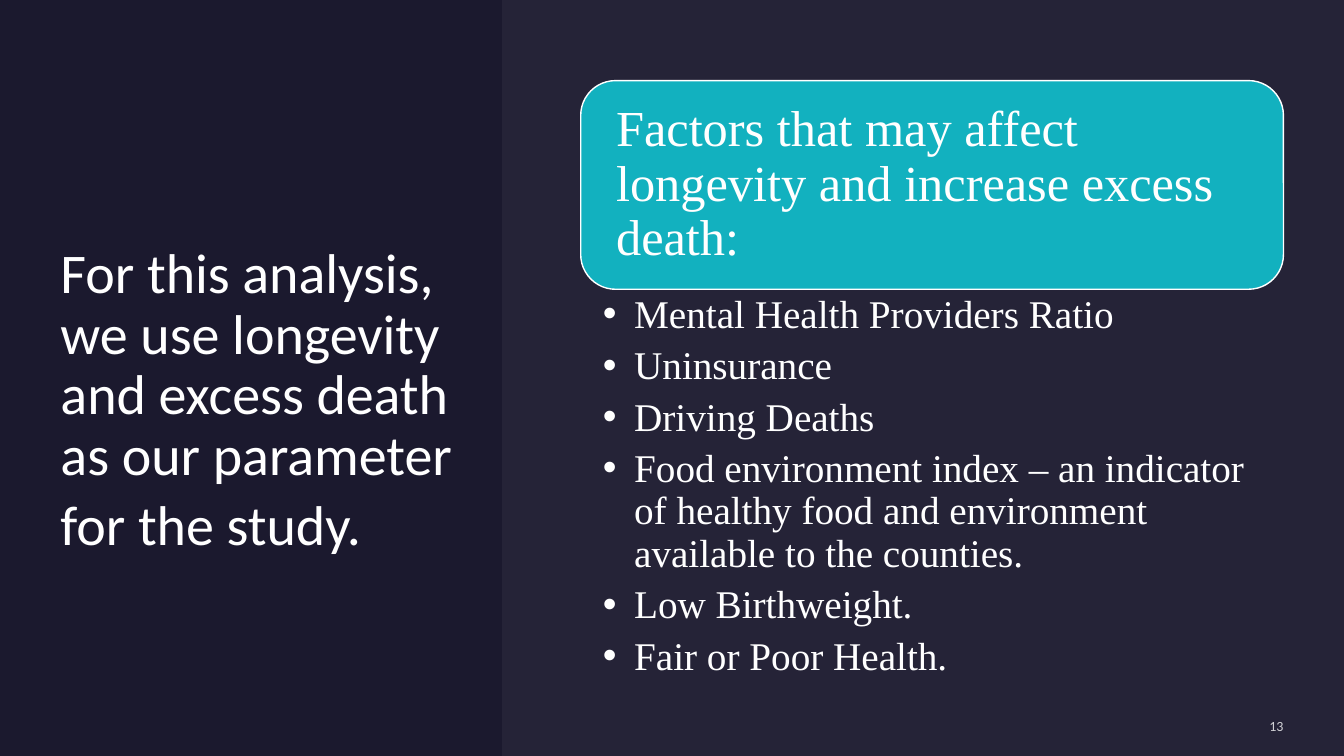
from pptx import Presentation
from pptx.dml.color import RGBColor
from pptx.enum import shapes, text
from pptx.oxml import parse_xml
from pptx.oxml.ns import nsdecls, qn
from pptx.util import Inches, Pt

TITLE = "For this analysis, we use longevity and excess death as our parameter for the study."
HEAD = "Factors that may affect longevity and increase excess death:"
FACTORS = [
    "Mental Health Providers Ratio",
    "Uninsurance",
    "Driving Deaths",
    "Food environment index – an indicator of healthy food and environment available to the counties.",
    "Low Birthweight.",
    "Fair or Poor Health.",
]
PAGE = "13"

THEME = {
    "back": "1B192E", "panel": "E4E3F0", "card": "12B1BF",
    "ink": "FFFFFF", "faint": "D1D1D5",
    "sans": "Calibri", "serif": "Times New Roman",
    "title": 40, "tail": 48, "head": 36, "list": 28, "page": 10,
}
WIDE, HIGH = 13.33, 7.5
SPLIT, LEFT, SPAN = 4.98, 5.76, 6.97
CARD_TOP, CARD_HIGH = 0.8, 2.07


def color(key):
    return RGBColor.from_string(THEME[key])


def place(shape, left, top, width, height):
    shape.left, shape.top = Inches(left), Inches(top)
    shape.width, shape.height = Inches(width), Inches(height)


def alpha(shape, percent):
    tint = shape.fill._xPr.find(qn("a:solidFill"))[0]
    tint.append(parse_xml(f'<a:alpha {nsdecls("a")} val="{percent * 1000}"/>'))


def write(shape, lines, size, font="sans", ink="ink", pads=(0, 0, 0, 0),
          anchor=text.MSO_ANCHOR.MIDDLE, align=text.PP_ALIGN.LEFT,
          line=0.9, after=0, bullet=0):
    frame = shape.text_frame
    frame.word_wrap = True
    frame.auto_size = text.MSO_AUTO_SIZE.NONE
    frame.vertical_anchor = anchor
    (frame.margin_left, frame.margin_top,
     frame.margin_right, frame.margin_bottom) = map(Inches, pads)
    for i, words in enumerate(lines):
        para = frame.paragraphs[0] if i == 0 else frame.add_paragraph()
        para.alignment, para.line_spacing = align, line
        para.space_before, para.space_after = Pt(0), Pt(after)
        if bullet:
            props = para._p.get_or_add_pPr()
            props.set("marL", str(Inches(bullet)))
            props.set("indent", str(-Inches(bullet)))
            props.append(parse_xml(f'<a:buChar {nsdecls("a")} char="•"/>'))
        run = para.add_run()
        run.text = words
        run.font.name, run.font.size = THEME[font], Pt(THEME[size])
        run.font.color.rgb = color(ink)
    return frame


def box(slide, kind, fill, *area):
    shape = slide.shapes.add_shape(kind, *map(Inches, area))
    shape.shadow.inherit = False
    shape.fill.solid()
    shape.fill.fore_color.rgb = color(fill)
    shape.line.fill.background()
    return shape


def main():
    deck = Presentation()
    deck.slide_width, deck.slide_height = Inches(WIDE), Inches(HIGH)
    slide = deck.slides.add_slide(deck.slide_layouts[1])
    slide.background.fill.solid()
    slide.background.fill.fore_color.rgb = color("back")

    panel = box(slide, shapes.MSO_SHAPE.RECTANGLE, "panel",
                SPLIT, 0, WIDE - SPLIT, HIGH)
    alpha(panel, 5)
    slide.shapes._spTree.insert(2, panel._element)

    title = slide.shapes.title
    place(title, 0.6, 0.6, 3.9, 6.06)
    frame = write(title, [TITLE], "title", pads=(0, 0.73, 0, 0))
    tail = frame.paragraphs[0].add_run()
    tail.text = " "
    tail.font.name, tail.font.size = THEME["sans"], Pt(THEME["tail"])

    card = box(slide, shapes.MSO_SHAPE.ROUNDED_RECTANGLE, "card",
               LEFT, CARD_TOP, SPAN, CARD_HIGH)
    card.line.color.rgb, card.line.width = color("ink"), Pt(1)
    write(card, [HEAD], "head", font="serif", pads=(0.25,) * 4)

    body = slide.placeholders[1]
    place(body, LEFT, CARD_TOP + CARD_HIGH, SPAN, 3.83)
    write(body, FACTORS, "list", font="serif", pads=(0.22, 0.05, 0.28, 0.05),
          anchor=text.MSO_ANCHOR.TOP, after=6.5, bullet=0.31)

    page = slide.shapes.add_textbox(*map(Inches, (10.88, 7.12, 1.85, 0.17)))
    write(page, [PAGE], "page", ink="faint", align=text.PP_ALIGN.RIGHT, line=1.0)

    deck.save("out.pptx")


if __name__ == "__main__":
    main()
